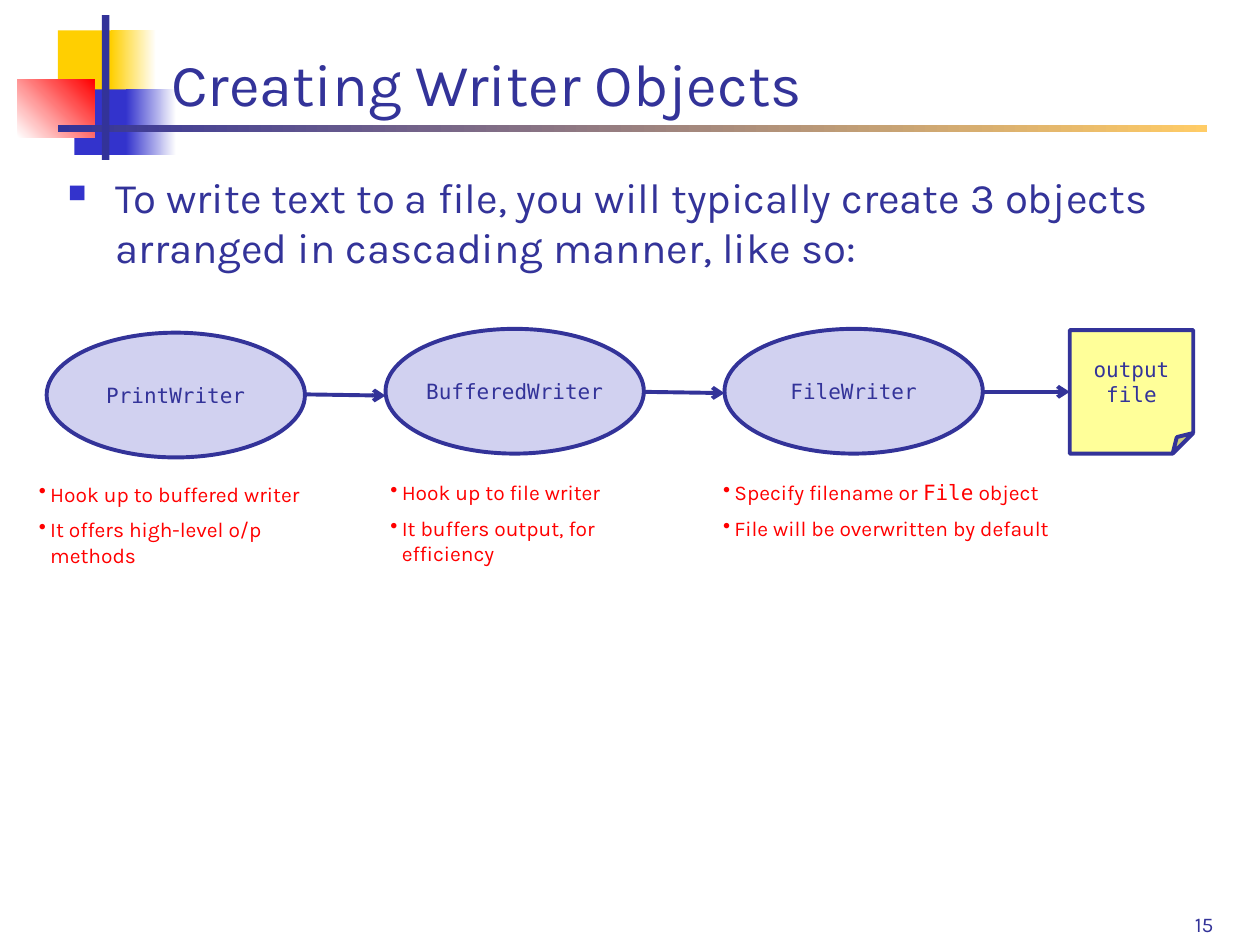
from lxml.etree import SubElement
from pptx import Presentation
from pptx.dml.color import RGBColor
from pptx.enum.shapes import MSO_CONNECTOR, MSO_SHAPE
from pptx.enum.text import MSO_ANCHOR, MSO_AUTO_SIZE, PP_ALIGN
from pptx.oxml.ns import qn
from pptx.util import Inches, Pt

NAVY = RGBColor(0x33, 0x33, 0x99)
BLUE = RGBColor(0x33, 0x33, 0xCC)
GOLD = RGBColor(0xFF, 0xCF, 0x01)
SAND = RGBColor(0xFF, 0xCC, 0x66)
RED = RGBColor(0xFF, 0x00, 0x00)
WHITE = RGBColor(0xFF, 0xFF, 0xFF)
LAVENDER = RGBColor(0xD1, 0xD1, 0xF0)
YELLOW = RGBColor(0xFF, 0xFF, 0x99)
SANS, MONO = "Karla", "DejaVu Sans Mono"


def style(paragraph, face, size, color):
    paragraph.font.name = face
    paragraph.font.size = Pt(size)
    paragraph.font.color.rgb = color


def bullet(paragraph, char, indent, color, percent):
    props = paragraph._p.get_or_add_pPr()
    props.set("marL", str(Inches(indent)))
    props.set("indent", str(-Inches(indent)))
    tint = SubElement(props, qn("a:buClr"))
    SubElement(tint, qn("a:srgbClr"), val=str(color))
    SubElement(props, qn("a:buSzPct"), val=str(percent * 1000))
    SubElement(props, qn("a:buChar"), char=char)


prs = Presentation()
prs.slide_width, prs.slide_height = Inches(10), Inches(7.5)
slide = prs.slides.add_slide(prs.slide_layouts[5])
shapes = slide.shapes

ornaments = [
    (0.46, 0.24, 0.48, 0.52, [GOLD], 0),
    (0.88, 0.24, 0.36, 0.52, [GOLD, WHITE], 0),
    (0.59, 0.71, 0.46, 0.52, [BLUE], 0),
    (1.0, 0.71, 0.4, 0.52, [BLUE, WHITE], 0),
    (0.14, 0.63, 0.61, 0.46, [WHITE, RED], 45),
    (0.46, 0.99, 9.12, 0.06, [NAVY, SAND], 0),
    (0.81, 0.12, 0.06, 1.15, [NAVY], 0),
]
for left, top, width, height, colors, angle in ornaments:
    block = shapes.add_shape(MSO_SHAPE.RECTANGLE, Inches(left), Inches(top),
                             Inches(width), Inches(height))
    block.shadow.inherit = False
    block.line.fill.background()
    if len(colors) == 1:
        block.fill.solid()
        block.fill.fore_color.rgb = colors[0]
    else:
        block.fill.gradient()
        block.fill.gradient_angle = angle
        for stop, color in zip(block.fill.gradient_stops, colors):
            stop.color.rgb = color

title = shapes.title
title.left, title.top = Inches(1.26), Inches(0.23)
title.width, title.height = Inches(8.52), Inches(0.76)
title.text_frame.text = "Creating Writer Objects"
title.text_frame.auto_size = MSO_AUTO_SIZE.NONE
title.text_frame.vertical_anchor = MSO_ANCHOR.BOTTOM
title.text_frame.paragraphs[0].alignment = PP_ALIGN.LEFT
style(title.text_frame.paragraphs[0], SANS, 34, NAVY)
shapes._spTree.append(title._element)

intro = shapes.add_textbox(Inches(0.44), Inches(1.31), Inches(9.28), Inches(5.4)).text_frame
intro.word_wrap = True
intro.text = ("To write text to a file, you will typically create 3 objects "
              "arranged in cascading manner, like so:")
bullet(intro.paragraphs[0], "■", 0.38, BLUE, 60)
style(intro.paragraphs[0], SANS, 24, NAVY)

page = shapes.add_textbox(Inches(6.56), Inches(6.98), Inches(3.17), Inches(0.5)).text_frame
page.word_wrap = True
page.vertical_anchor = MSO_ANCHOR.BOTTOM
page.text = "15"
page.paragraphs[0].alignment = PP_ALIGN.RIGHT
style(page.paragraphs[0], SANS, 12, NAVY)

FIRST, PITCH, WRITER_W, WRITER_H = 0.37, 2.69, 2.05, 0.99
FILE_LEFT, FILE_SIDE = 8.49, 0.98
stages = [("PrintWriter", 2.64), ("BufferedWriter", 2.61), ("FileWriter", 2.61),
          ("output file", 2.62)]
nodes = []
for column, (label, top) in enumerate(stages):
    if label == "output file":
        node = shapes.add_shape(MSO_SHAPE.FOLDED_CORNER, Inches(FILE_LEFT), Inches(top),
                                Inches(FILE_SIDE), Inches(FILE_SIDE))
        fill = YELLOW
    else:
        node = shapes.add_shape(MSO_SHAPE.OVAL, Inches(FIRST + column * PITCH), Inches(top),
                                Inches(WRITER_W), Inches(WRITER_H))
        node.text_frame.margin_left = node.text_frame.margin_right = 0
        fill = LAVENDER
    node.shadow.inherit = False
    node.fill.solid()
    node.fill.fore_color.rgb = fill
    node.line.color.rgb = NAVY
    node.line.width = Pt(2.25)
    node.text_frame.text = label
    node.text_frame.word_wrap = True
    node.text_frame.vertical_anchor = MSO_ANCHOR.MIDDLE
    node.text_frame.paragraphs[0].alignment = PP_ALIGN.CENTER
    style(node.text_frame.paragraphs[0], MONO, 12, NAVY)
    nodes.append(node)

output_file = nodes[-1]
for source, target, level in zip(nodes, nodes[1:], (3.13, 3.11, 3.11)):
    arrow = shapes.add_connector(MSO_CONNECTOR.STRAIGHT, source.left + source.width,
                                 Inches(level), target.left, Inches(level + 0.01))
    if target is output_file:
        arrow.end_connect(output_file, 1)
    arrow.line.color.rgb = NAVY
    arrow.line.width = Pt(2.25)
    SubElement(arrow.line._get_or_add_ln(), qn("a:tailEnd"), type="arrow")
    SubElement(arrow._element.spPr, qn("a:effectLst"))

notes = [
    (0.21, 3.77, 2.66, [["Hook up to buffered writer"],
                        ["It offers high-level o/p methods"]]),
    (3.0, 3.76, 2.58, [["Hook up to file writer"],
                       ["It buffers output, for efficiency"]]),
    (5.64, 3.76, 2.87, [["Specify filename or ", "File", " object"],
                        ["File will be overwritten by default"]]),
]
for left, top, width, points in notes:
    note = shapes.add_textbox(Inches(left), Inches(top), Inches(width), Inches(0.59)).text_frame
    note.word_wrap = True
    for row, pieces in enumerate(points):
        point = note.add_paragraph() if row else note.paragraphs[0]
        bullet(point, "•", 0.09, RED, 100)
        if row:
            point.space_before = Pt(6)
        style(point, SANS, 12, RED)
        for piece in pieces:
            run = point.add_run()
            run.text = piece
            if piece == "File":
                run.font.name = MONO

prs.save("out.pptx")
